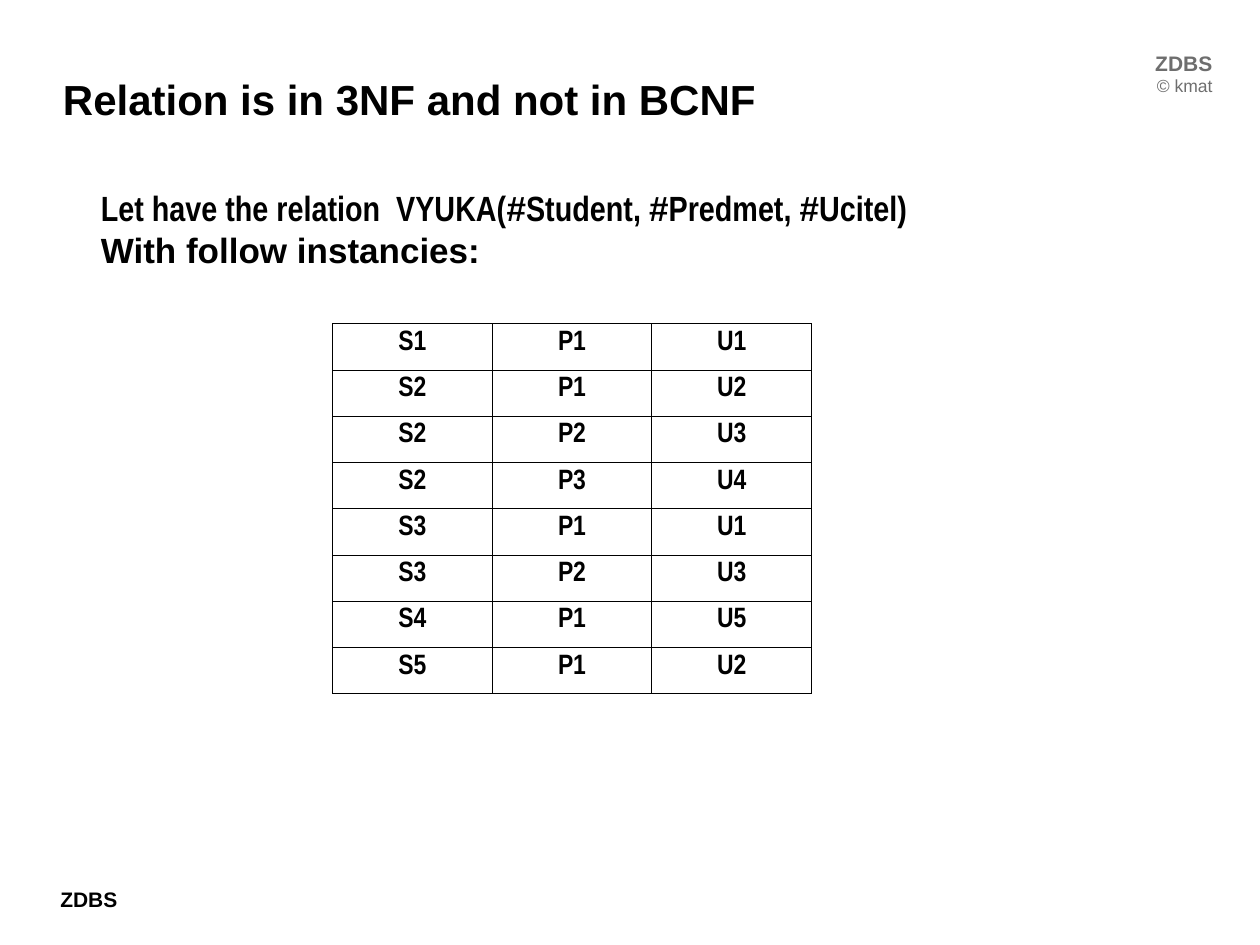
import dataclasses

import lxml.etree
import pptx
import pptx.dml.color
import pptx.enum.text
import pptx.oxml.ns
import pptx.util

Inches = pptx.util.Inches
Align = pptx.enum.text.PP_ALIGN
Anchor = pptx.enum.text.MSO_ANCHOR


@dataclasses.dataclass(frozen=True)
class Theme:
    """Colours, fonts and sizes of the slide."""
    ink: str = "000000"
    muted: str = "6E6E6E"
    font: str = "Arial"
    narrow: str = "Arial Narrow"
    title: int = 24
    body: int = 20
    cell: int = 16
    label: int = 12
    credit: int = 10
    border: float = 0.45


THEME = Theme()
RELATION = [
    ("Let have the relation  VYUKA(", THEME.narrow), ("#", THEME.font),
    ("Student, ", THEME.narrow), ("#", THEME.font),
    ("Predmet, ", THEME.narrow), ("#", THEME.font),
    ("Ucitel)", THEME.narrow),
]
INSTANCES = [
    "S1 P1 U1", "S2 P1 U2", "S2 P2 U3", "S2 P3 U4",
    "S3 P1 U1", "S3 P2 U3", "S4 P1 U5", "S5 P1 U2",
]


def style_font(font, size, name=THEME.font, color=THEME.ink, bold=True):
    """Apply typeface, size, colour and weight to a font."""
    font.name = name
    font.size = pptx.util.Pt(size)
    font.bold = bold
    font.color.rgb = pptx.dml.color.RGBColor.from_string(color)


def add_paragraph(para, spans, size, color=THEME.ink, bold=True, align=Align.LEFT):
    """Fill a paragraph with (text, typeface) spans."""
    para.alignment = align
    for text, name in spans:
        span = para.add_run()
        span.text = text
        style_font(span.font, size, name, color, bold)


def add_box(page, left, top, width, height, insets=(0.1, 0.05, 0.1, 0.05),
            anchor=Anchor.TOP):
    """Add an empty text box and return its text frame."""
    box = page.shapes.add_textbox(Inches(left), Inches(top), Inches(width), Inches(height))
    frame = box.text_frame
    frame.word_wrap = True
    frame.vertical_anchor = anchor
    (frame.margin_left, frame.margin_top,
     frame.margin_right, frame.margin_bottom) = map(Inches, insets)
    return frame


def add_labels(page):
    """Add the footer label and the course label in the top corner."""
    footer = add_box(page, 0.38, 6.99, 0.75, 0.5)
    add_paragraph(footer.paragraphs[0], [("ZDBS", THEME.font)], THEME.label)
    corner = add_box(page, 8.97, 0.35, 0.75, 0.47)
    add_paragraph(corner.paragraphs[0], [("ZDBS", THEME.font)], THEME.label,
                  THEME.muted, align=Align.RIGHT)
    add_paragraph(corner.add_paragraph(), [("© kmat", THEME.font)], THEME.credit,
                  THEME.muted, bold=False, align=Align.RIGHT)


def add_title(page):
    """Add the slide title."""
    frame = add_box(page, 0.5, 0.3, 9, 1.01, (0, 0.05, 0, 0.05), Anchor.MIDDLE)
    para = frame.paragraphs[0]
    para.line_spacing = 0.9
    add_paragraph(para, [("Relation is in 3NF and not in BCNF", THEME.font)], THEME.title)


def add_body(page):
    """Add the definition of the relation."""
    frame = add_box(page, 0.2, 0.98, 7.06, 1.54, (0.6, 0.17, 0, 0.04), Anchor.MIDDLE)
    add_paragraph(frame.paragraphs[0], RELATION, THEME.body)
    add_paragraph(frame.add_paragraph(), [("With follow instancies:", THEME.font)], THEME.body)


def add_borders(cell):
    """Draw a thin line on the four sides of a cell and leave it unfilled."""
    cell.fill.background()
    properties = cell._tc.get_or_add_tcPr()
    for index, side in enumerate(("lnL", "lnR", "lnT", "lnB")):
        line = lxml.etree.Element(pptx.oxml.ns.qn(f"a:{side}"),
                                  w=str(pptx.util.Pt(THEME.border)))
        fill = lxml.etree.SubElement(line, pptx.oxml.ns.qn("a:solidFill"))
        lxml.etree.SubElement(fill, pptx.oxml.ns.qn("a:srgbClr"), val=THEME.ink)
        properties.insert(index, line)


def add_instances(page):
    """Add the table of relation instances."""
    rows = [line.split() for line in INSTANCES]
    table = page.shapes.add_table(len(rows), len(rows[0]), Inches(2.64), Inches(2.57),
                                  Inches(3.8), Inches(2.93)).table
    table.first_row = False
    table.horz_banding = False
    for row_index, row in enumerate(rows):
        for column_index, value in enumerate(row):
            cell = table.cell(row_index, column_index)
            add_paragraph(cell.text_frame.paragraphs[0], [(value, THEME.narrow)],
                          THEME.cell, align=Align.CENTER)
            add_borders(cell)


def main():
    """Build and save the slide."""
    deck = pptx.Presentation()
    deck.slide_width = Inches(10)
    deck.slide_height = Inches(7.5)
    page = deck.slides.add_slide(deck.slide_layouts[6])
    add_labels(page)
    add_title(page)
    add_body(page)
    add_instances(page)
    deck.save("out.pptx")


if __name__ == "__main__":
    main()
